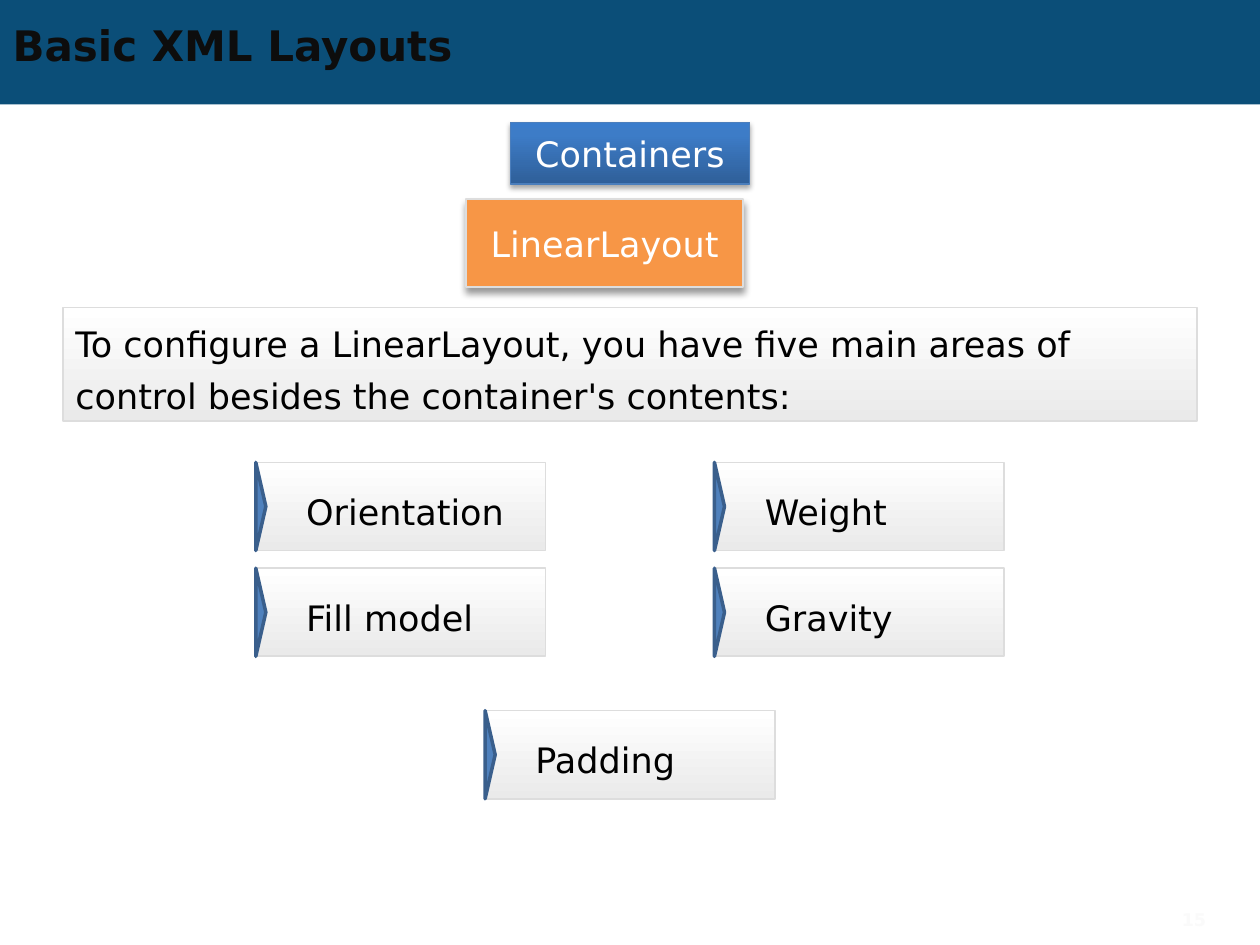
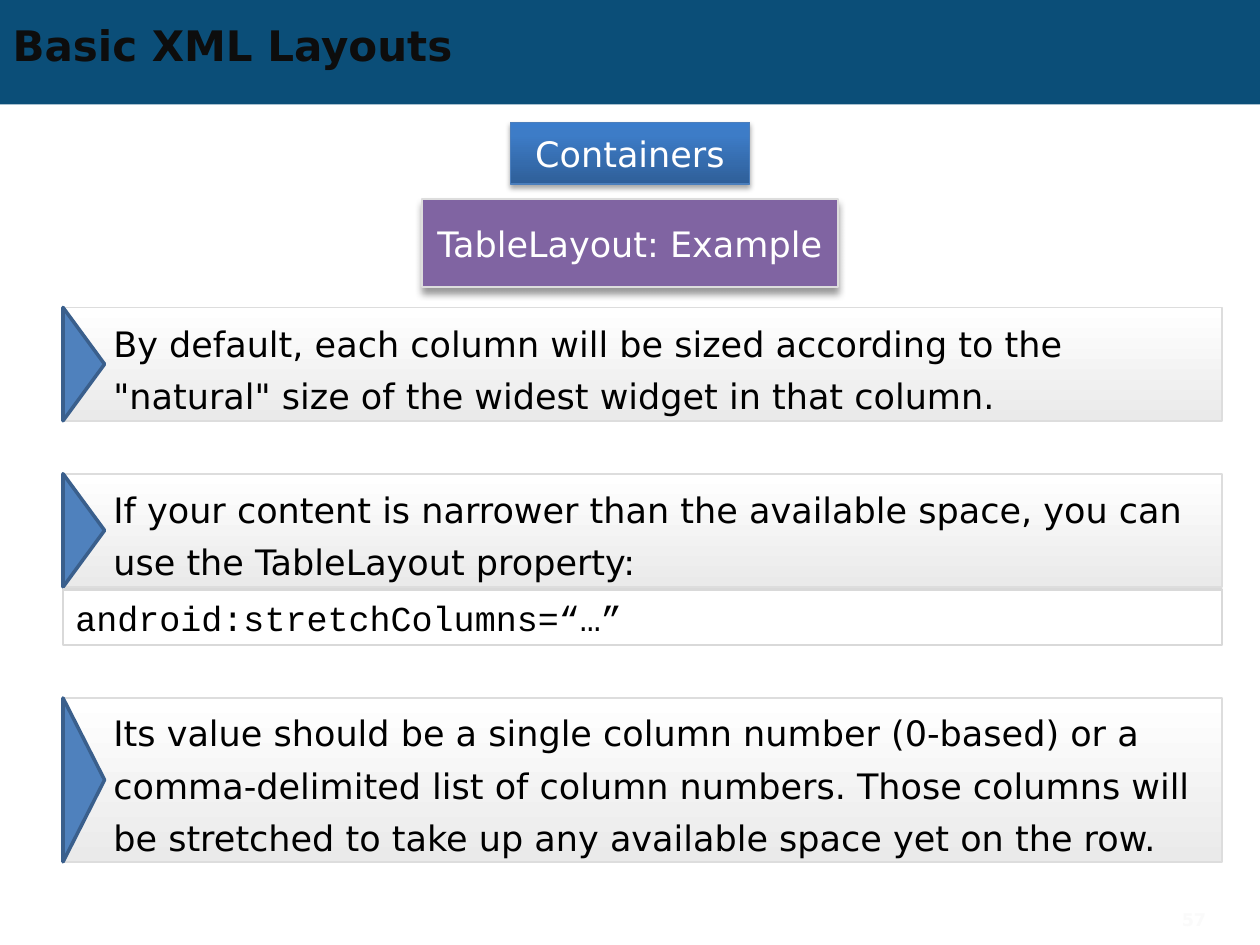
import copy
from lxml import etree
from pptx import Presentation
from pptx.dml.color import RGBColor
from pptx.enum import shapes, text
from pptx.oxml import ns
from pptx.util import Inches, Pt

BAND = RGBColor(0x0B, 0x4E, 0x78)
TITLE_INK = RGBColor(0x0D, 0x0D, 0x0D)
BLACK = RGBColor(0, 0, 0)
WHITE = RGBColor(255, 255, 255)
ORANGE = RGBColor(0xF7, 0x96, 0x46)
PURPLE = RGBColor(0x80, 0x64, 0xA2)
EDGE = RGBColor(0xDD, 0xDD, 0xDD)
CODE_EDGE = RGBColor(0xD9, 0xD9, 0xD9)
TOPIC_EDGE = RGBColor(0x4B, 0x7E, 0xBC)
ARROW = RGBColor(0x4F, 0x81, 0xBD)
ARROW_EDGE = RGBColor(0x3A, 0x5F, 0x8C)
NUMBER_INK = RGBColor(0xFA, 0xFA, 0xFA)
PANEL_STOPS = [(0, WHITE), (1, RGBColor(0xEA, 0xEA, 0xEA))]
TOPIC_STOPS = [(0, RGBColor(0x2F, 0x5F, 0x99)), (0.8, RGBColor(0x3D, 0x7C, 0xC7)),
               (1, RGBColor(0x3A, 0x7C, 0xCB))]
SANS, MONO = "DejaVu Sans", "Courier New"

TITLE = "Basic XML Layouts"
TOPIC = "Containers"
LINEAR = {"name": "LinearLayout", "left": 3.7, "width": 2.2, "color": ORANGE, "number": "15"}
TABLE = {"name": "TableLayout: Example", "left": 3.35, "width": 3.3, "color": PURPLE, "number": "57"}
INTRO = ("To configure a LinearLayout, you have five main areas of control "
         "besides the container's contents:")
AREA_COLUMNS = [["Orientation", "Fill model"], ["Weight", "Gravity"]]
LAST_AREA = "Padding"
RULES = [
    (2.44, 0.9, "By default, each column will be sized according to the \"natural\" size of "
                "the widest widget in that column."),
    (3.76, 0.9, "If your content is narrower than the available space, you can use the "
                "TableLayout property:"),
    (5.54, 1.3, "Its value should be a single column number (0-based) or a comma-delimited list "
                "of column numbers. Those columns will be stretched to take up any available "
                "space yet on the row."),
]
PROPERTY = "android:stretchColumns=“…”"

AREA_W, AREA_H = 2.3, 0.7
AREA_LEFT, AREA_TOP, AREA_STEP_X, AREA_STEP_Y = 2.03, 3.67, 3.64, 0.84
RULE_LEFT, RULE_W = 0.5, 9.2


def write(shape, words, color, size=20, font=SANS, align=text.PP_ALIGN.LEFT, bold=False):
    frame = shape.text_frame
    frame.text = words
    frame.word_wrap = True
    frame.vertical_anchor = text.MSO_ANCHOR.MIDDLE
    paragraph = frame.paragraphs[0]
    paragraph.alignment = align
    run_font = paragraph.runs[0].font
    run_font.name, run_font.size, run_font.bold = font, Pt(size), bold
    run_font.color.rgb = color


def inset(shape, left, right):
    frame = shape.text_frame
    frame.margin_left, frame.margin_right = Inches(left), Inches(right)
    frame.margin_top = frame.margin_bottom = 0


def add_block(slide, box, fill=None, edge=None, weight=1, kind=shapes.MSO_SHAPE.RECTANGLE):
    block = slide.shapes.add_shape(kind, *map(Inches, box))
    block.shadow.inherit = False
    if fill is None:
        block.fill.background()
    else:
        block.fill.solid()
        block.fill.fore_color.rgb = fill
    if edge is None:
        block.line.fill.background()
    else:
        block.line.color.rgb = edge
        block.line.width = Pt(weight)
    return block


def shade(block, stops, angle):
    block.fill.gradient()
    block.fill.gradient_angle = angle
    stop_list = block._element.spPr.find(".//" + ns.qn("a:gsLst"))
    for _ in stops[2:]:
        stop_list.append(copy.deepcopy(stop_list[-1]))
    for stop, (position, color) in zip(block.fill.gradient_stops, stops):
        stop.position = position
        stop.color.rgb = color


def cast_shadow(block, opacity, blur, distance):
    effects = block._element.spPr.find(ns.qn("a:effectLst"))
    outer = etree.SubElement(effects, ns.qn("a:outerShdw"), blurRad=str(Pt(blur)),
                             dist=str(Pt(distance)), dir="5400000", rotWithShape="0")
    color = etree.SubElement(outer, ns.qn("a:srgbClr"), val=str(BLACK))
    etree.SubElement(color, ns.qn("a:alpha"), val=str(opacity * 1000))


def add_panel(slide, box, words):
    panel = add_block(slide, box, WHITE, EDGE)
    shade(panel, PANEL_STOPS, 270)
    write(panel, words, BLACK)
    panel.text_frame.paragraphs[0].line_spacing = Pt(30)
    return panel


def add_arrow_panel(slide, box, words, depth):
    left, top, _, height = box
    inset(add_panel(slide, box, words), 0.4, 0.1)
    arrow = add_block(slide, (left + (depth - height) / 2, top + (height - depth) / 2, height, depth),
                      ARROW, ARROW_EDGE, 2, shapes.MSO_SHAPE.ISOSCELES_TRIANGLE)
    arrow.rotation = 90


def add_area(slide, left, top, words):
    add_arrow_panel(slide, (left, top, AREA_W, AREA_H), words, 0.08)


def add_layout_slide(deck, container):
    slide = deck.slides.add_slide(deck.slide_layouts[5])
    title = slide.shapes.title
    title.left, title.top, title.width, title.height = map(Inches, (0, 0.14, 9, 0.43))
    write(title, TITLE, TITLE_INK, 24, bold=True)
    title.text_frame.auto_size = text.MSO_AUTO_SIZE.NONE

    topic = add_block(slide, (4.05, 0.97, 1.9, 0.49), BAND, TOPIC_EDGE, 0.75)
    shade(topic, TOPIC_STOPS, 90)
    cast_shadow(topic, 35, 3.1, 1.8)
    write(topic, TOPIC, WHITE, align=text.PP_ALIGN.CENTER)

    name = add_block(slide, (container["left"], 1.58, container["width"], 0.7),
                     container["color"], EDGE)
    cast_shadow(name, 40, 4, 3)
    write(name, container["name"], WHITE, align=text.PP_ALIGN.CENTER)
    inset(name, 0, 0)

    number = slide.shapes.add_textbox(*map(Inches, (9.07, 7.15, 0.6, 0.3)))
    write(number, container["number"], NUMBER_INK, 10, align=text.PP_ALIGN.RIGHT, bold=True)
    return slide


def main():
    deck = Presentation()
    deck.slide_width, deck.slide_height = Inches(10), Inches(7.5)

    linear = add_layout_slide(deck, LINEAR)
    band = add_block(linear, (0, 0, 10, 0.83), BAND)
    linear.slide_layout.shapes._spTree.insert(2, band._element)
    add_panel(linear, (0.5, 2.44, 9, 0.9), INTRO)
    for column, areas in enumerate(AREA_COLUMNS):
        for row, area in enumerate(areas):
            add_area(linear, AREA_LEFT + column * AREA_STEP_X, AREA_TOP + row * AREA_STEP_Y, area)
    add_area(linear, (10 - AREA_W) / 2, 5.64, LAST_AREA)

    table = add_layout_slide(deck, TABLE)
    for top, height, rule in RULES:
        add_arrow_panel(table, (RULE_LEFT, top, RULE_W, height), rule, 0.33)
    stretch = add_block(table, (RULE_LEFT, 4.68, RULE_W, 0.44), None, CODE_EDGE, 1.5)
    write(stretch, PROPERTY, BLACK, font=MONO)

    deck.save("out.pptx")


if __name__ == "__main__":
    main()
